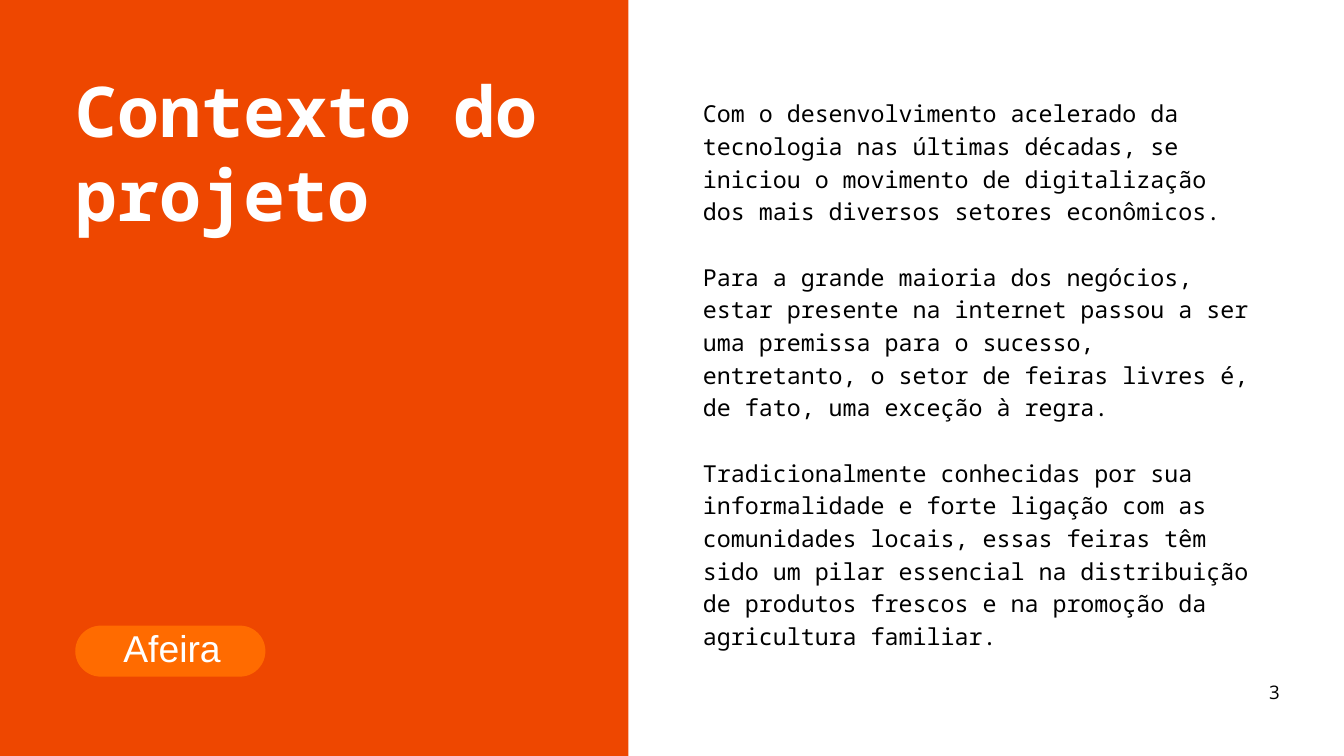
from pptx import Presentation
from pptx.dml.color import RGBColor
from pptx.enum.shapes import MSO_SHAPE
from pptx.enum.text import MSO_ANCHOR, MSO_AUTO_SIZE, PP_ALIGN
from pptx.util import Inches, Pt

RED = RGBColor(0xEE, 0x47, 0x00)
ORANGE = RGBColor(0xFF, 0x6B, 0x00)
WHITE = RGBColor(0xFF, 0xFF, 0xFF)
BLACK = RGBColor(0, 0, 0)
MONO = "Noto Sans Mono"

BODY = [
    "Com o desenvolvimento acelerado da tecnologia nas últimas décadas, "
    "se iniciou o movimento de digitalização dos mais diversos setores "
    "econômicos.",
    "Para a grande maioria dos negócios, estar presente na internet passou "
    "a ser uma premissa para o sucesso, entretanto, o setor de feiras "
    "livres é, de fato, uma exceção à regra.",
    "Tradicionalmente conhecidas por sua informalidade e forte ligação com "
    "as comunidades locais, essas feiras têm sido um pilar essencial na "
    "distribuição de produtos frescos e na promoção da agricultura familiar.",
]


def place(shape, x, y, w, h):
    shape.left, shape.top = Inches(x), Inches(y)
    shape.width, shape.height = Inches(w), Inches(h)


def write(shape, texts, size, pitch, font, color, bold=False,
          align=PP_ALIGN.LEFT, gap=0, wrap=True):
    """Fill a shape with paragraphs; pitch and gap are in points."""
    frame = shape.text_frame
    frame.word_wrap = wrap
    frame.auto_size = MSO_AUTO_SIZE.NONE
    frame.vertical_anchor = MSO_ANCHOR.TOP
    frame.margin_left = frame.margin_right = 0
    frame.margin_top = frame.margin_bottom = 0
    for i, text in enumerate(texts):
        para = frame.add_paragraph() if i else frame.paragraphs[0]
        para.alignment = align
        para.line_spacing = Pt(pitch)
        para.space_before = Pt(gap if i else 0)
        run = para.add_run()
        run.text = text
        run.font.size, run.font.name = Pt(size), font
        run.font.bold = bold
        run.font.color.rgb = color


def add_text(slide, box, texts, *style, **more):
    shape = slide.shapes.add_textbox(*map(Inches, box))
    write(shape, texts, *style, **more)


def add_block(slide, kind, box, color):
    shape = slide.shapes.add_shape(kind, *map(Inches, box))
    shape.shadow.inherit = False
    shape.fill.solid()
    shape.fill.fore_color.rgb = color
    shape.line.fill.background()
    return shape


def add_badge(slide, x, y, w, h):
    pill = add_block(slide, MSO_SHAPE.ROUNDED_RECTANGLE, (x, y, w, h), ORANGE)
    pill.adjustments[0] = 0.5
    inset = 0.43
    add_text(slide, (x + inset, y, 2.02, h - 0.1), ["Afeira"],
             40, 48, "Arial", WHITE, align=PP_ALIGN.CENTER)


def add_panel(slide, x, y, w, h):
    """Coloured side with the title at the top and the badge at the foot."""
    panel = add_block(slide, MSO_SHAPE.RECTANGLE, (x, y, w, h), RED)
    title = slide.shapes.title
    title.element.addprevious(panel.element)
    left = x + 1.12
    place(title, left, y + 1, 7.39, 2.6)
    write(title, ["Contexto do projeto"], 75, 90, MONO, WHITE, bold=True)
    add_badge(slide, left, y + h - 1.94, 2.83, 0.76)


def add_body(slide, x, y, w, h):
    """Plain side with the running text and the page number."""
    add_text(slide, (x + 1.11, y + 1.41, 8.21, 7.22), BODY,
             25, 35, MONO, BLACK, gap=35)
    add_text(slide, (x + w - 1.12, y + h - 1.18, 0.17, 0.22), ["3"],
             20, 28, "Open Sans", BLACK, align=PP_ALIGN.CENTER, wrap=False)


def main():
    deck = Presentation()
    deck.slide_width, deck.slide_height = Inches(20), Inches(11.25)
    slide = deck.slides.add_slide(deck.slide_layouts.get_by_name("Title Only"))
    split = 9.35
    add_panel(slide, 0, 0, split, 11.25)
    add_body(slide, split, 0, 20 - split, 11.25)
    deck.save("out.pptx")


if __name__ == "__main__":
    main()
